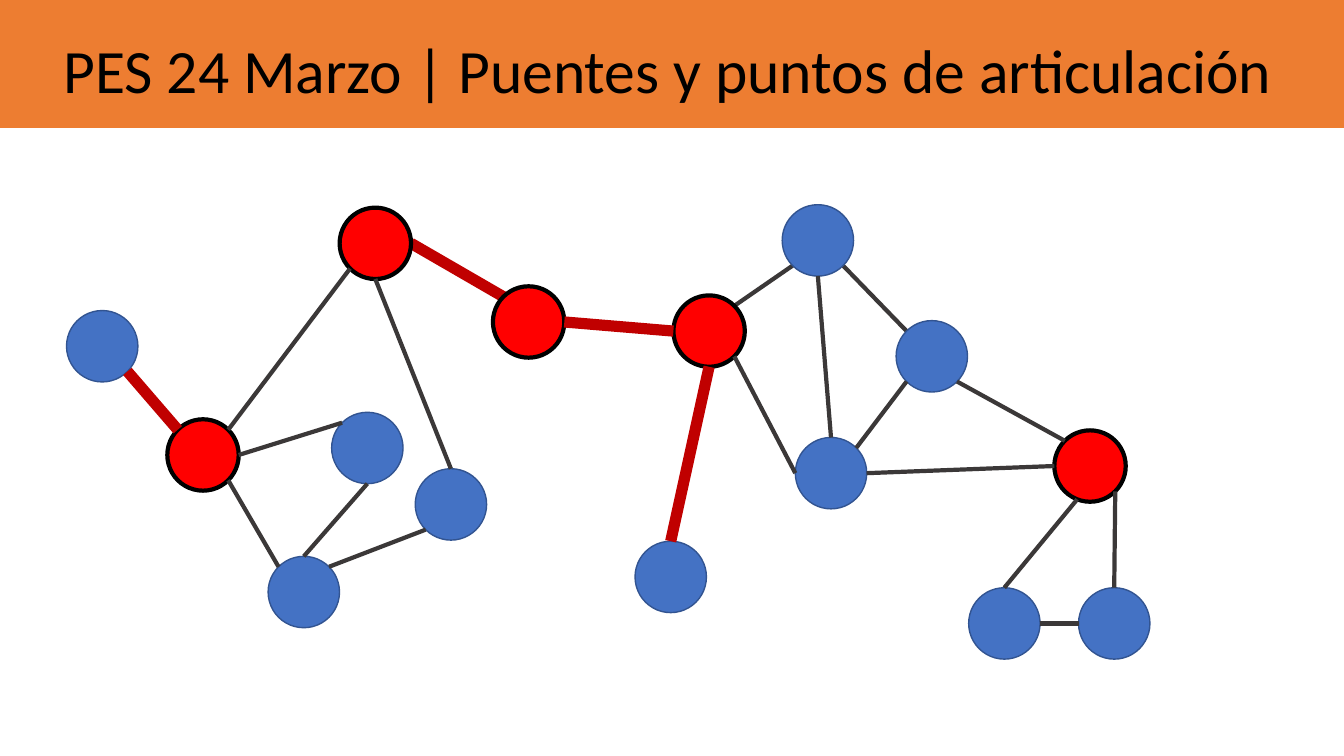
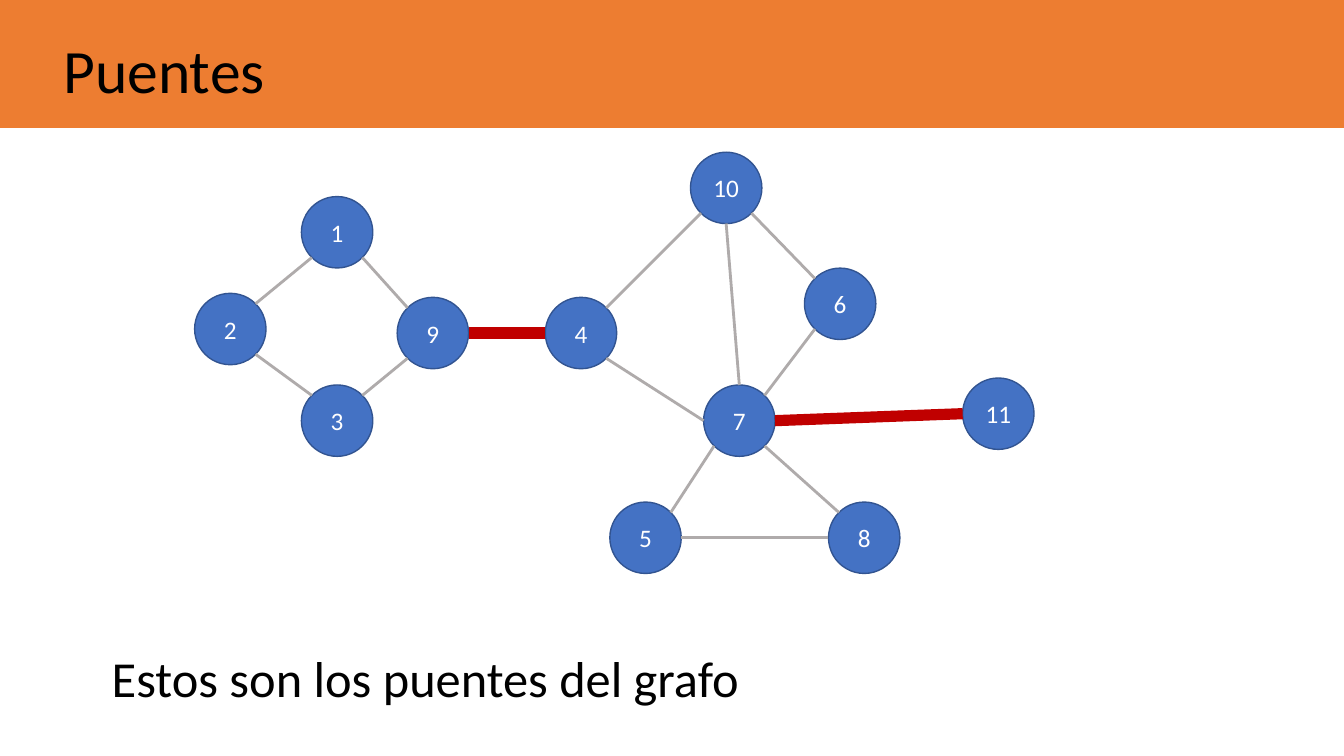
import math

import pptx
import pptx.dml.color
import pptx.enum.shapes
import pptx.enum.text
import pptx.oxml.ns
import pptx.util

Pt = pptx.util.Pt
RGB = pptx.dml.color.RGBColor

ORANGE = RGB(0xED, 0x7D, 0x31)
BLUE = RGB(0x44, 0x72, 0xC4)
NAVY = RGB(0x32, 0x54, 0x91)
RED = RGB(0xFF, 0x00, 0x00)
CRIMSON = RGB(0xC0, 0x00, 0x00)
CHARCOAL = RGB(0x3B, 0x38, 0x38)
GREY = RGB(0xAF, 0xAB, 0xAB)
BLACK = RGB(0, 0, 0)
WHITE = RGB(0xFF, 0xFF, 0xFF)

FONT = "Calibri"
WIDTH, HEIGHT = 960, 540
BAND_HEIGHT = 91.4
DIAMETER = 51
BRIDGE = (CRIMSON, 8)

E, SE, S, SW, W, NW, N, NE = range(0, 360, 45)

ARTICULATION_NODES = {
    "A": (242.6, 148.3), "B": (119.5, 299.5), "C": (191.5, 397.4),
    "D": (352.1, 204.5), "E": (481, 211), "F": (558.7, 146.2),
    "G": (568.1, 312.5), "H": (640.1, 229), "I": (453.6, 386.6),
    "J": (296.6, 334.8), "K": (236.9, 294.5), "L": (753.1, 307.4),
    "M": (691.9, 419.8), "N": (770.4, 419.8), "O": (47.5, 221.8),
}
ARTICULATION_POINTS = "ABDEL"
ARTICULATION_EDGES = [
    ("B", NE, "A", SW), ("B", SE, "C", NW), ("J", SW, "C", NE),
    ("G", NE, "H", SW), ("G", W, "E", SE), ("H", SE, "L", NW),
    ("F", S, "G", N), ("J", N, "A", S), ("C", N, "K", S),
    ("B", E, "K", NW), ("G", E, "L", W), ("L", 111, "M", N),
    ("N", W, "M", E), ("L", SE, "N", N),
]
ARTICULATION_BRIDGES = [("B", NW, "O", SE), ("E", W, "D", E), ("E", S, "I", N)]

BRIDGE_NODES = {
    "1": (215.3, 140.4), "2": (139, 209.5), "3": (215.3, 275),
    "9": (283.7, 212.4), "4": (389.5, 212.4), "10": (493.2, 108.7),
    "7": (502.6, 275), "6": (574.6, 191.5), "5": (435.6, 358.6),
    "8": (591.8, 358.6), "11": (687.6, 270),
}
BRIDGE_EDGES = [
    ("2", NE, "1", SW), ("2", SE, "3", NW), ("9", SW, "3", NE),
    ("9", NW, "1", SE), ("10", SW, "4", NE), ("10", SE, "6", NW),
    ("7", NE, "6", SW), ("7", W, "4", SE), ("7", SW, "5", NE),
    ("8", W, "5", E), ("7", SE, "8", NW), ("10", S, "7", N),
]
BRIDGES = [("4", W, "9", E), ("7", E, "11", W)]


def rim(corner, angle):
    """Return the point of a node's circle at a clockwise angle from east."""
    radius, turn = DIAMETER / 2, math.radians(angle)
    left, top = corner
    return (Pt(left + radius * (1 + math.cos(turn))),
            Pt(top + radius * (1 + math.sin(turn))))


class GraphDeck:
    """Hold the deck style and draw on the current slide."""

    def __init__(self):
        """Start an empty widescreen deck."""
        self.deck = pptx.Presentation()
        self.deck.slide_width, self.deck.slide_height = Pt(WIDTH), Pt(HEIGHT)
        self.shapes = None

    def slide(self, title, title_width):
        """Add a slide with the title band."""
        self.shapes = self.deck.slides.add_slide(self.deck.slide_layouts[6]).shapes
        self.shape("RECTANGLE", 0, 0, WIDTH, BAND_HEIGHT, ORANGE)
        self.text(title, 38.2, 19.4, title_width, 60.5, 44)

    def shape(self, preset, left, top, width, height, fill, outline=None):
        """Add a filled preset shape with an optional (colour, width) outline."""
        figure = self.shapes.add_shape(
            getattr(pptx.enum.shapes.MSO_SHAPE, preset),
            Pt(left), Pt(top), Pt(width), Pt(height))
        figure.shadow.inherit = False
        figure.fill.solid()
        figure.fill.fore_color.rgb = fill
        if outline:
            figure.line.color.rgb = outline[0]
            figure.line.width = Pt(outline[1])
        else:
            figure.line.fill.background()
        return figure

    def fill_text(self, frame, wording, size, color):
        """Set and format the wording of a text frame."""
        frame.text = wording
        font = frame.paragraphs[0].runs[0].font
        font.name, font.size, font.color.rgb = FONT, Pt(size), color

    def text(self, wording, left, top, width, height, size):
        """Add an unwrapped line of black text."""
        frame = self.shapes.add_textbox(
            Pt(left), Pt(top), Pt(width), Pt(height)).text_frame
        frame.word_wrap = False
        frame.auto_size = pptx.enum.text.MSO_AUTO_SIZE.SHAPE_TO_FIT_TEXT
        self.fill_text(frame, wording, size, BLACK)

    def node(self, corner, label="", highlighted=False):
        """Add a graph node, optionally labelled or highlighted."""
        fill, outline = (RED, (BLACK, 3)) if highlighted else (BLUE, (NAVY, 1))
        circle = self.shape("OVAL", *corner, DIAMETER, DIAMETER, fill, outline)
        if label:
            frame = circle.text_frame
            frame.vertical_anchor = pptx.enum.text.MSO_ANCHOR.MIDDLE
            self.fill_text(frame, label, 18, WHITE)
            frame.paragraphs[0].alignment = pptx.enum.text.PP_ALIGN.CENTER

    def edges(self, nodes, links, color, width):
        """Join the rims of linked nodes with straight lines."""
        for start, leaving, end, arriving in links:
            edge = self.shapes.add_connector(
                pptx.enum.shapes.MSO_CONNECTOR.STRAIGHT,
                *rim(nodes[start], leaving), *rim(nodes[end], arriving))
            edge.line.color.rgb = color
            edge.line.width = Pt(width)
            properties = edge._element.spPr
            properties.append(properties.makeelement(
                pptx.oxml.ns.qn("a:effectLst"), {}))


def main():
    """Build both slides and save the deck."""
    graph = GraphDeck()

    graph.slide("PES 24 Marzo | Puentes y puntos de articulación", 887.8)
    graph.edges(ARTICULATION_NODES, [("D", NW, "A", E)], *BRIDGE)
    graph.edges(ARTICULATION_NODES, [("F", SW, "E", NE), ("F", SE, "H", NW)],
                CHARCOAL, 3)
    for name, corner in ARTICULATION_NODES.items():
        graph.node(corner, highlighted=name in ARTICULATION_POINTS)
    graph.edges(ARTICULATION_NODES, ARTICULATION_EDGES, CHARCOAL, 3)
    graph.edges(ARTICULATION_NODES, ARTICULATION_BRIDGES, *BRIDGE)

    graph.slide("Puentes", 159.8)
    for label, corner in BRIDGE_NODES.items():
        graph.node(corner, label)
    graph.edges(BRIDGE_NODES, BRIDGE_EDGES, GREY, 2)
    graph.edges(BRIDGE_NODES, BRIDGES, *BRIDGE)
    graph.text("Estos son los puentes del grafo", 72.7, 458.6, 466.6, 51, 36)

    graph.deck.save("out.pptx")


if __name__ == "__main__":
    main()
